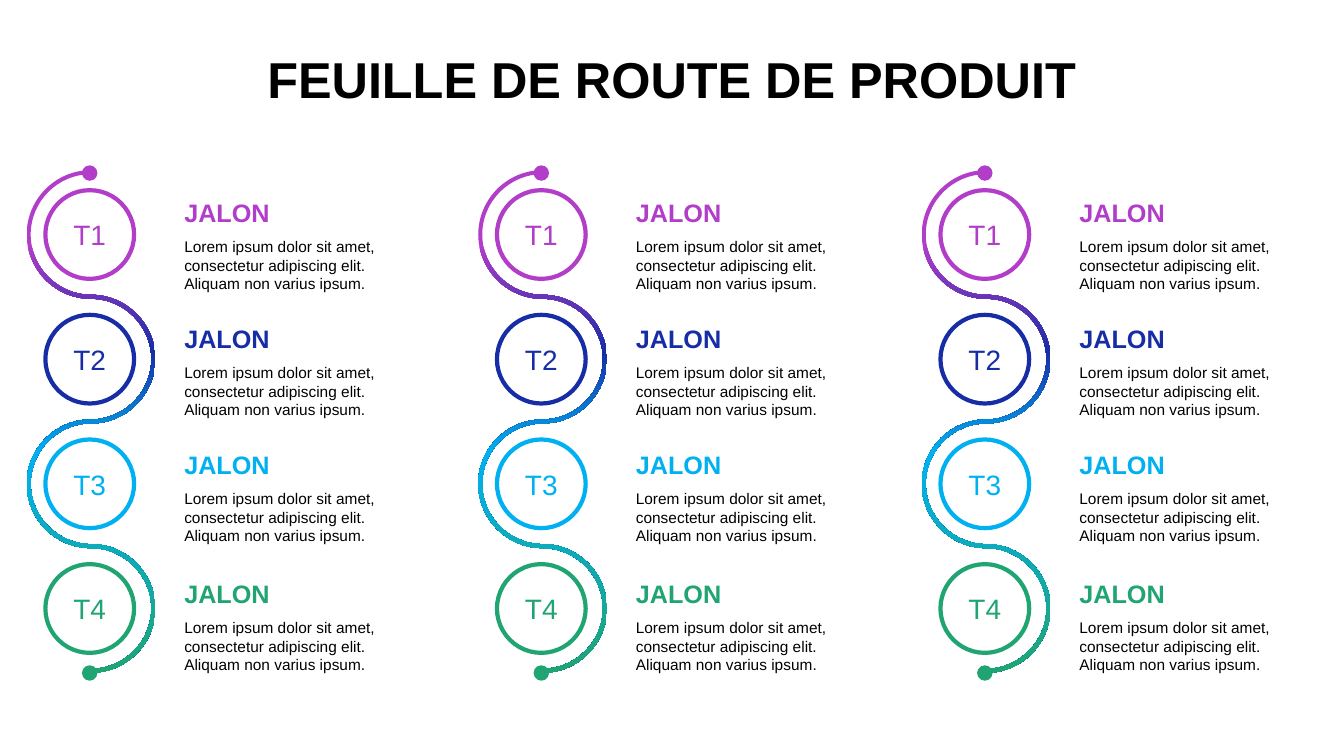
import copy

import pptx
import pptx.dml.color
import pptx.enum.shapes
import pptx.enum.text
import pptx.oxml
import pptx.oxml.ns
import pptx.util

RGBColor = pptx.dml.color.RGBColor
PURPLE = RGBColor(0xB1, 0x3D, 0xC8)
NAVY = RGBColor(0x17, 0x2D, 0xA6)
SKY = RGBColor(0x00, 0xB0, 0xF0)
GREEN = RGBColor(0x20, 0xA4, 0x72)
BLACK = RGBColor(0, 0, 0)
WHITE = RGBColor(0xFF, 0xFF, 0xFF)

FONT = "Arial"
GRID_COLUMNS, GRID_ROWS = 40, 22.5
TRACK_CENTRES = (2.67, 16.11, 29.31)
FIRST_CENTRE, ROW_PITCH = 6.98, 3.71
CIRCLE_SIZE, DOT_SIZE, WAVE_WIDTH = 2.64, 0.46, 0.12
WAVE_SHIFT = 0.04
FIRST_DOT, LAST_DOT = 5.15, 20.03
TEXT_OFFSET, BODY_DROP = 2.52, 1.1
ARC_HANDLE = 0.55  # handle length of a quarter circle, as a share of its radius

# label, colour, gradient position, top of the heading
MILESTONES = (
    ("T1", PURPLE, 0.15, 5.82),
    ("T2", NAVY, 0.36, 9.57),
    ("T3", SKY, 0.56, 13.32),
    ("T4", GREEN, 1.0, 17.16),
)
TITLE = "FEUILLE DE ROUTE DE PRODUIT"
HEADING = "JALON"
BODY = "Lorem ipsum dolor sit amet, consectetur adipiscing elit. Aliquam non varius ipsum."


def write_text(shape, text, size, color, bold=False, align="LEFT", anchor="TOP",
               spacing=1.0, insets=(0.1, 0.05)):
    frame = shape.text_frame
    frame.word_wrap = True
    frame.auto_size = pptx.enum.text.MSO_AUTO_SIZE.NONE
    frame.vertical_anchor = pptx.enum.text.MSO_ANCHOR[anchor]
    frame.margin_left = frame.margin_right = pptx.util.Inches(insets[0])
    frame.margin_top = frame.margin_bottom = pptx.util.Inches(insets[1])
    paragraph = frame.paragraphs[0]
    paragraph.alignment = pptx.enum.text.PP_ALIGN[align]
    paragraph.line_spacing = spacing
    paragraph.space_before = pptx.util.Pt(0)
    run = paragraph.add_run()
    run.text = text
    run.font.name = FONT
    run.font.size = pptx.util.Pt(size)
    run.font.bold = bold
    run.font.color.rgb = color


def curve_segments(lines):
    """Turn each three successive line segments into one cubic curve."""
    for first in range(0, len(lines), 3):
        curve = pptx.oxml.parse_xml(
            f'<a:cubicBezTo {pptx.oxml.ns.nsdecls("a")}/>')
        lines[first].addprevious(curve)
        for line in lines[first:first + 3]:
            curve.append(line[0])
            line.getparent().remove(line)


class RoadmapSlide:
    """Draws on one slide; every length is in grid columns or rows."""

    def __init__(self, presentation):
        self.cell_width = presentation.slide_width / GRID_COLUMNS
        self.cell_height = presentation.slide_height / GRID_ROWS
        self.slide = presentation.slides.add_slide(presentation.slide_layouts[5])
        self.shapes = self.slide.shapes

    def point(self, column, row):
        return round(column * self.cell_width), round(row * self.cell_height)

    def title(self, text, left, top, width, height):
        shape = self.shapes.title
        shape.left, shape.top = self.point(left, top)
        shape.width, shape.height = self.point(width, height)
        write_text(shape, text, 36, BLACK, bold=True, align="CENTER", spacing=0.9)

    def text(self, text, left, top, width, height, **text_format):
        box = self.shapes.add_textbox(*self.point(left, top), *self.point(width, height))
        write_text(box, text, **text_format)

    def disc(self, column, row, size, fill):
        """Add a circle centred on the given grid point."""
        shape = self.shapes.add_shape(
            pptx.enum.shapes.MSO_SHAPE.OVAL,
            *self.point(column - size / 2, row - size / 2), *self.point(size, size))
        shape.shadow.inherit = False
        shape.fill.solid()
        shape.fill.fore_color.rgb = fill
        shape.line.fill.background()
        return shape

    def milestone_circle(self, column, row, label, color):
        circle = self.disc(column, row, CIRCLE_SIZE, WHITE)
        circle.line.color.rgb = color
        circle.line.width = pptx.util.Pt(3)
        write_text(circle, label, 20, color, align="CENTER", anchor="MIDDLE")

    def wave_edge(self, column, offset):
        """Return the curve points of one edge of the band, from top to bottom."""
        points = []
        for index in range(len(MILESTONES)):
            side = 1 if index % 2 else -1
            radius = ROW_PITCH / 2 + side * offset
            centre = FIRST_CENTRE + index * ROW_PITCH
            if not points:
                points.append(self.point(column, centre - radius))
            arc = ((ARC_HANDLE, -1), (1, -ARC_HANDLE), (1, 0),
                   (1, ARC_HANDLE), (ARC_HANDLE, 1), (0, 1))
            points += [self.point(column + side * radius * across, centre + radius * down)
                       for across, down in arc]
        return points

    def wave(self, column):
        right_edge = self.wave_edge(column, WAVE_WIDTH / 2)
        left_edge = self.wave_edge(column, -WAVE_WIDTH / 2)
        builder = self.shapes.build_freeform(*right_edge[0], scale=1.0)
        builder.add_line_segments(right_edge[1:] + left_edge[::-1], close=True)
        shape = builder.convert_to_shape()
        lines = list(shape._element.iter(pptx.oxml.ns.qn("a:lnTo")))
        bottom = len(right_edge) - 1
        curve_segments(lines[:bottom])
        curve_segments(lines[bottom + 1:bottom + len(left_edge)])
        shape.shadow.inherit = False
        shape.line.fill.background()
        shape.fill.gradient()
        shape.fill.gradient_angle = 270
        stop_list = shape.fill.gradient_stops[0]._gs.getparent()
        while len(stop_list) < len(MILESTONES):
            stop_list.append(copy.deepcopy(stop_list[0]))
        for stop, (_, color, position, _) in zip(shape.fill.gradient_stops, MILESTONES):
            stop.color.rgb = color
            stop.position = position

    def track(self, column):
        """Add one winding track with its four milestones."""
        for index, (label, color, _, _) in enumerate(MILESTONES):
            self.milestone_circle(column, FIRST_CENTRE + index * ROW_PITCH, label, color)
        self.wave(column + WAVE_SHIFT)
        self.disc(column, FIRST_DOT, DOT_SIZE, PURPLE)
        self.disc(column, LAST_DOT, DOT_SIZE, GREEN)
        left = column + TEXT_OFFSET
        for _, color, _, top in MILESTONES:
            self.text(HEADING, left, top, 7.08, 0.99,
                      size=18, color=color, bold=True, spacing=0.9)
            self.text(BODY, left, top + BODY_DROP, 7.14, 2.31, size=11, color=BLACK)


def main():
    presentation = pptx.Presentation()
    presentation.slide_width = pptx.util.Inches(13.33)
    presentation.slide_height = pptx.util.Inches(7.5)
    roadmap = RoadmapSlide(presentation)
    roadmap.title(TITLE, 0.75, 1.5, 38.5, 2.07)
    for column in TRACK_CENTRES:
        roadmap.track(column)
    presentation.save("out.pptx")


if __name__ == "__main__":
    main()
